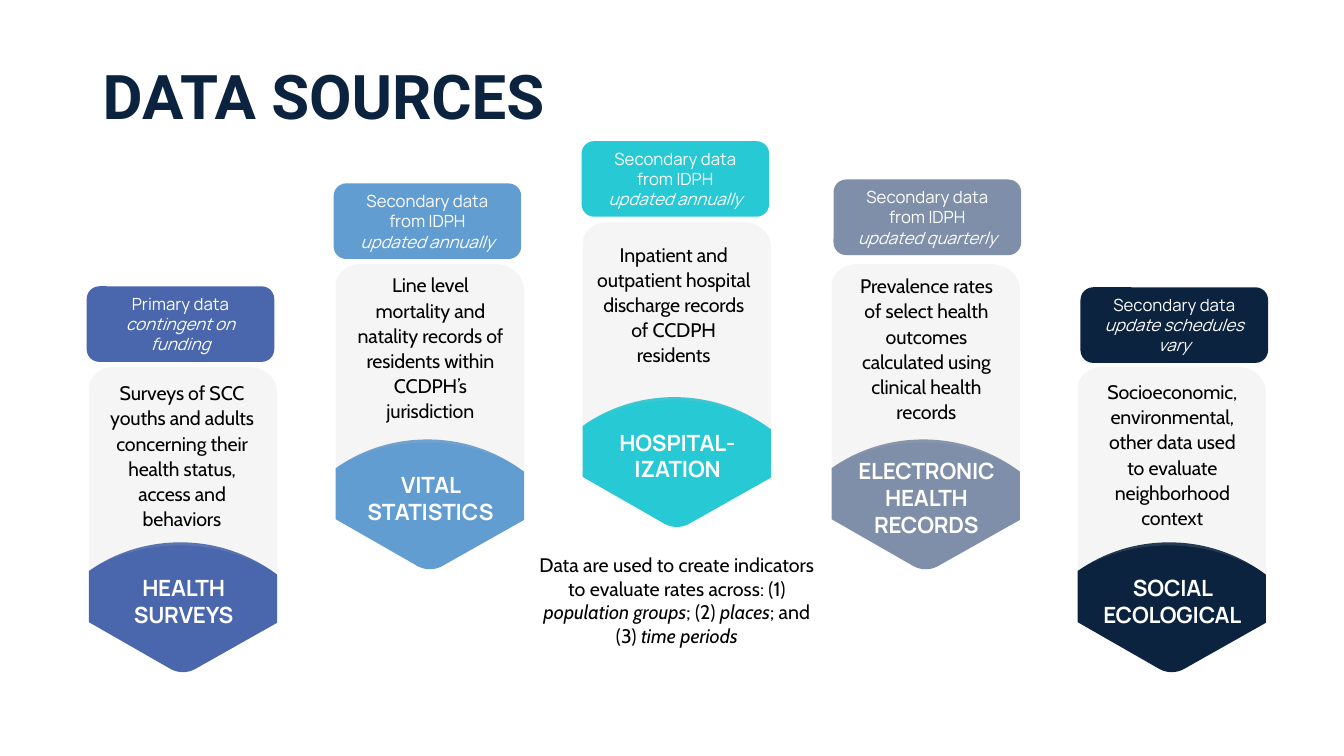
"""Build the Data Sources slide: five pointer columns with captions and a note."""
from lxml import etree
from pptx import Presentation
from pptx.dml.color import RGBColor
from pptx.enum import shapes, text
from pptx.oxml import ns
from pptx.util import Pt

INDIGO = RGBColor(0x4A, 0x66, 0xAC)
BLUE = RGBColor(0x62, 0x9D, 0xD1)
TEAL = RGBColor(0x26, 0xC9, 0xD4)
SLATE = RGBColor(0x7F, 0x8F, 0xA9)
NAVY = RGBColor(0x0C, 0x23, 0x40)
GREY = RGBColor(0xBF, 0xBF, 0xBF)
WHITE = RGBColor(0xFF, 0xFF, 0xFF)
BLACK = RGBColor(0x00, 0x00, 0x00)

POINTER = [
    [(58.5, 90.5)],
    [(64, 93.5), (70.5, 93.5), (76, 90.5)],
    [(134.5, 57.5)],
    [(134.5, 23)],
    [(115, 8.6), (91.5, 0), (65.5, 0)],
    [(41, 0), (18.5, 7.5), (0, 20.5)],
    [(0, 57)],
]
PANEL = [
    [(134.5, 147.5)],
    [(134.5, 18)],
    [(134.5, 8), (125.5, 0), (114, 0)],
    [(17.5, 0)],
    [(8, 0), (0, 7), (0, 15.5)],
    [(0, 145.5)],
    [(18.5, 134), (41, 127.5), (65.5, 127.5)],
    [(91.5, 127.5), (115, 135.5), (134.5, 147.5)],
]
PANEL_RISE = 125.3
LABEL_CENTER = 41.7

COLUMNS = [
    (INDIGO, 63.4, 387.4, "HEALTH SURVEYS", 2,
     "Surveys of SCC youths and adults concerning their health status, access and behaviors",
     (67, 267, 126, 116), (61.9, 204.5),
     [[("Primary data ", False), ("contingent on funding", True)]]),
    (BLUE, 239.8, 313.9, "VITAL STATISTICS", 2,
     "Line level mortality and natality records of residents within CCDPH’s jurisdiction",
     (247.7, 190, 119.5, 116), (238.3, 131),
     [[("Secondary data from IDPH", False)], [("updated annually", True)]]),
    (TEAL, 416.2, 283.7, "HOSPITAL-IZATION", 2,
     "Inpatient and outpatient hospital discharge records of CCDPH residents",
     (419, 168.5, 124.5, 97), (415.4, 100.8),
     [[("Secondary data from IDPH", False)], [("updated annually", True)]]),
    (SLATE, 594, 313.9, "ELECTRONIC HEALTH RECORDS", 3,
     "Prevalence rates of select health outcomes calculated using clinical health records",
     (602, 190.8, 119.5, 115.5), (595.4, 128.2),
     [[("Secondary data from IDPH", False)], [("updated quarterly", True)]]),
    (NAVY, 769.7, 387.4, "SOCIAL ECOLOGICAL", 2,
     "Socioeconomic, environmental, other data used to evaluate neighborhood context",
     (777.6, 266.4, 119.5, 115.5), (771.8, 205.2),
     [[("Secondary data ", False), ("update schedules vary", True)]]),
]
NOTE = [
    ("Data are used to create indicators to evaluate rates across: (1) ", False),
    ("population groups", True), ("; (2) ", False), ("places", True),
    ("; and (3) ", False), ("time periods", True),
]


def add_outline(s, left, top, steps, color):
    points = [(Pt(left + x), Pt(top + y)) for step in steps for x, y in step]
    builder = s.shapes.build_freeform(*points[0])
    builder.add_line_segments(points[1:], close=True)
    sp = builder.convert_to_shape()
    sp.shadow.inherit = False
    sp.fill.solid()
    sp.fill.fore_color.rgb = color
    sp.line.fill.background()
    lines = iter(sp._element.xpath(".//a:lnTo"))
    for step in steps[1:]:
        group = [next(lines) for _ in step]
        if len(group) == 3:
            curve = etree.Element(ns.qn("a:cubicBezTo"))
            group[0].addprevious(curve)
            for line in group:
                curve.append(line[0])
                line.getparent().remove(line)
    return sp


def write(tf, paragraphs, size, font, color, bold=None, leading=None, tight=False):
    tf.word_wrap = True
    for i, runs in enumerate(paragraphs):
        p = tf.add_paragraph() if i else tf.paragraphs[0]
        p.alignment = text.PP_ALIGN.CENTER
        p.line_spacing = leading
        for words, italic in runs:
            r = p.add_run()
            r.text = words
            r.font.size = Pt(size)
            r.font.name = font
            r.font.color.rgb = color
            r.font.bold = bold
            r.font.italic = italic
            if tight:
                r.font._element.set("spc", "-10")


prs = Presentation()
prs.slide_width, prs.slide_height = Pt(960), Pt(540)
s = prs.slides.add_slide(prs.slide_layouts[5])

title = s.shapes.title
title.left, title.top, title.width, title.height = Pt(66.2), Pt(47.5), Pt(457), Pt(47)
tf = title.text_frame
tf.auto_size = text.MSO_AUTO_SIZE.NONE
tf.vertical_anchor = text.MSO_ANCHOR.MIDDLE
p = tf.paragraphs[0]
p.alignment = text.PP_ALIGN.LEFT
p.line_spacing = 0.9
r = p.add_run()
r.text = "DATA SOURCES"
r.font.size = Pt(44)
r.font.name = "Roboto"
r.font.bold = True
r.font.color.rgb = NAVY

for color, left, top, label, rows, detail, detail_box, caption_at, caption in COLUMNS:
    add_outline(s, left, top, POINTER, color)
    panel = add_outline(s, left, top - PANEL_RISE, PANEL, GREY)
    tint = panel._element.xpath("./p:spPr/a:solidFill/a:srgbClr")[0]
    etree.SubElement(tint, ns.qn("a:alpha")).set("val", "15000")

    height = 7.2 + 19.4 * rows
    label_box = (left + 8, top + LABEL_CENTER - height / 2, 119.5, height)
    for box, words, size, font, ink, bold, leading in (
        (label_box, label, 16, "Manrope", WHITE, True, None),
        (detail_box, detail, 14, "Cabin", BLACK, None, Pt(18)),
    ):
        tf = s.shapes.add_textbox(*map(Pt, box)).text_frame
        tf.vertical_anchor = text.MSO_ANCHOR.MIDDLE
        write(tf, [[(words, None)]], size, font, ink, bold, leading, tight=True)

    sp = s.shapes.add_shape(shapes.MSO_SHAPE.ROUNDED_RECTANGLE,
                            *map(Pt, (*caption_at, 134, 54)))
    sp.shadow.inherit = False
    sp.fill.solid()
    sp.fill.fore_color.rgb = color
    sp.line.fill.background()
    sp.text_frame.vertical_anchor = text.MSO_ANCHOR.MIDDLE
    write(sp.text_frame, caption, 12, "Manrope", WHITE)

note = s.shapes.add_textbox(Pt(378), Pt(391.7), Pt(211), Pt(75))
write(note.text_frame, [NOTE], 14, "Cabin", BLACK)

prs.save("out.pptx")
